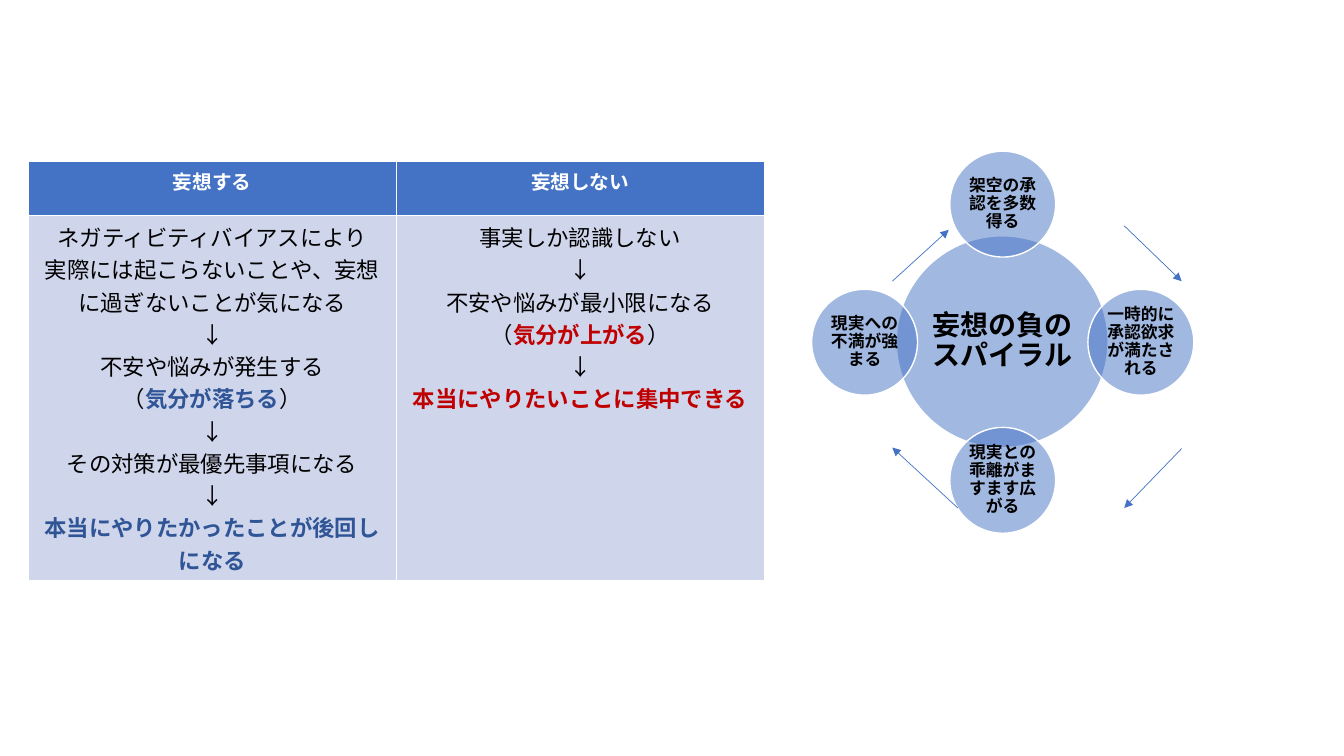
"""Build a slide with a comparison table and a negative spiral diagram."""
from dataclasses import dataclass

from lxml import etree
from pptx import Presentation
from pptx.dml.color import RGBColor
from pptx.enum.shapes import MSO_CONNECTOR, MSO_SHAPE
from pptx.enum.text import MSO_ANCHOR, PP_ALIGN
from pptx.oxml.ns import qn
from pptx.util import Pt

OVAL = MSO_SHAPE.OVAL
STRAIGHT = MSO_CONNECTOR.STRAIGHT
CENTER = PP_ALIGN.CENTER
MIDDLE = MSO_ANCHOR.MIDDLE
SCALE = 9144
FONT = "Noto Sans CJK JP"
COLORS = {
    "blue": "4472C4",
    "navy": "2F5597",
    "red": "C00000",
    "pale": "CFD5EA",
    "white": "FFFFFF",
    "ink": "000000",
}


@dataclass(frozen=True)
class Line:
    text: str
    tint: str = "ink"
    framed: bool = False


@dataclass(frozen=True)
class Column:
    title: str
    lines: tuple[Line, ...]


@dataclass(frozen=True)
class Disc:
    text: str
    left: int
    top: int
    size: int
    points: int
    inset: int


@dataclass(frozen=True)
class Arrow:
    start: tuple[int, int]
    end: tuple[int, int]


DOWN = Line("↓")
COLUMNS = (
    Column("妄想する", (
        Line("ネガティビティバイアスにより"),
        Line("実際には起こらないことや、妄想に過ぎないことが気になる"),
        DOWN,
        Line("不安や悩みが発生する"),
        Line("気分が落ちる", "navy", True),
        DOWN,
        Line("その対策が最優先事項になる"),
        DOWN,
        Line("本当にやりたかったことが後回しになる", "navy"),
    )),
    Column("妄想しない", (
        Line("事実しか認識しない"),
        DOWN,
        Line("不安や悩みが最小限になる"),
        Line("気分が上がる", "red", True),
        DOWN,
        Line("本当にやりたいことに集中できる", "red"),
    )),
)
ORBIT = 137
STEPS = (
    ("架空の承認を多数得る", 0, -1),
    ("一時的に承認欲求が満たされる", 1, 0),
    ("現実との乖離がますます広がる", 0, 1),
    ("現実への不満が強まる", -1, 0),
)
DISCS = (
    Disc("妄想の負のスパイラル", 889, 234, 210, 20, 3),
    *(Disc(text, 942 + dx * ORBIT, 287 + dy * ORBIT, 105, 12, 2)
      for text, dx, dy in STEPS),
)
ARROWS = (
    Arrow((1115, 224), (1172, 279)),
    Arrow((1172, 445), (1115, 504)),
    Arrow((885, 279), (941, 228)),
    Arrow((950, 504), (885, 444)),
)


def px(count: int) -> int:
    """Turn px into EMU."""
    return count * SCALE


def color(name: str) -> RGBColor:
    """Look up a named colour."""
    return RGBColor.from_string(COLORS[name])


def style(para, points: int, tint: str, bold: bool) -> None:
    """Centre a paragraph and set its font."""
    para.alignment = CENTER
    font = para.font
    font.size, font.bold, font.name = Pt(points), bold, FONT
    font.color.rgb = color(tint)
    props = para._p.get_or_add_pPr().find(qn("a:defRPr"))
    etree.SubElement(props, qn("a:ea"), typeface=FONT)


def fill_cell(cell, lines: tuple[Line, ...], points: int, back: str) -> None:
    """Fill a table cell with centred lines."""
    cell.fill.solid()
    cell.fill.fore_color.rgb = color(back)
    frame = cell.text_frame
    for place, line in enumerate(lines):
        para = frame.add_paragraph() if place else frame.paragraphs[0]
        if not line.framed:
            para.add_run().text = line.text
            style(para, points, line.tint, line.tint != "ink")
            continue
        style(para, points, "ink", False)
        for text, tint in (("（", "ink"), (line.text, line.tint), ("）", "ink")):
            run = para.add_run()
            run.text = text
            run.font.bold = tint != "ink"
            run.font.color.rgb = color(tint)


def draw_table(slide) -> None:
    """Draw the comparison table."""
    table = slide.shapes.add_table(
        2, len(COLUMNS), px(28), px(160), px(730), px(358)).table
    table.rows[0].height, table.rows[1].height = px(54), px(304)
    for place, column in enumerate(COLUMNS):
        table.columns[place].width = px(365)
        fill_cell(table.cell(0, place), (Line(column.title, "white"),), 14, "blue")
        fill_cell(table.cell(1, place), column.lines, 16, "pale")


def draw_disc(slide, disc: Disc) -> None:
    """Draw a half clear disc with its label."""
    shape = slide.shapes.add_shape(
        OVAL, px(disc.left), px(disc.top), px(disc.size), px(disc.size))
    shape.shadow.inherit = False
    shape.fill.solid()
    shape.fill.fore_color.rgb = color("blue")
    tone = shape._element.spPr.find(qn("a:solidFill"))[0]
    etree.SubElement(tone, qn("a:alpha"), val="50000")
    shape.line.color.rgb = color("white")
    shape.line.width = Pt(1)
    frame = shape.text_frame
    frame.word_wrap = True
    frame.vertical_anchor = MIDDLE
    frame.margin_left = frame.margin_right = px(disc.inset)
    frame.margin_top = frame.margin_bottom = px(disc.inset)
    para = frame.paragraphs[0]
    para.line_spacing = 0.9
    para.add_run().text = disc.text
    style(para, disc.points, "ink", True)


def draw_arrow(slide, arrow: Arrow) -> None:
    """Draw a thin arrow."""
    link = slide.shapes.add_connector(
        STRAIGHT, *map(px, arrow.start), *map(px, arrow.end))
    link.line.color.rgb = color("blue")
    link.line.width = Pt(0.5)
    props = link._element.spPr
    etree.SubElement(props.find(qn("a:ln")), qn("a:tailEnd"), type="triangle")
    etree.SubElement(props, qn("a:effectLst"))


def main() -> None:
    """Build and save the slide."""
    deck = Presentation()
    deck.slide_width, deck.slide_height = px(1333), px(750)
    slide = deck.slides.add_slide(deck.slide_layouts[6])
    for disc in DISCS:
        draw_disc(slide, disc)
    for arrow in ARROWS:
        draw_arrow(slide, arrow)
    draw_table(slide)
    deck.save("out.pptx")


if __name__ == "__main__":
    main()
